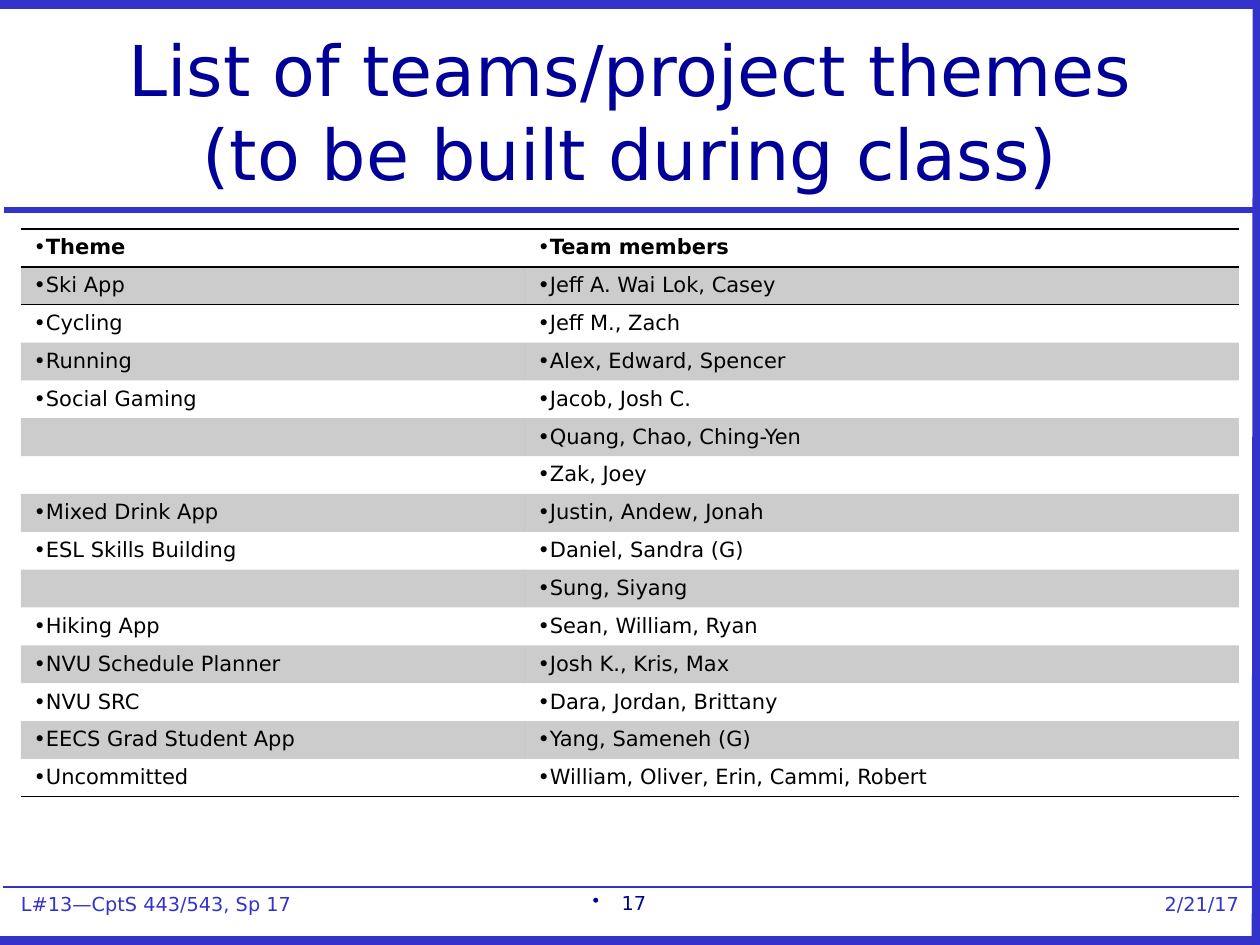
from dataclasses import dataclass

from lxml.etree import SubElement
from pptx import Presentation
from pptx.dml.color import RGBColor
from pptx.enum.shapes import MSO_CONNECTOR, MSO_SHAPE
from pptx.enum.text import MSO_ANCHOR, PP_ALIGN
from pptx.oxml.ns import qn
from pptx.util import Emu, Pt

PX = 914400 // 126
NO_STYLE = "{2D5ABB26-0587-4C30-8999-92F81FD0307C}"


@dataclass(frozen=True)
class Theme:
    font: str = "DejaVu Sans"
    navy: str = "000099"
    blue: str = "3333CC"
    black: str = "000000"
    white: str = "FFFFFF"
    title_size: int = 40
    table_size: int = 12
    footer_size: int = 11
    band_alpha: int = 20


THEME = Theme()

TEAMS = [
    ("Theme", "Team members"),
    ("Ski App", "Jeff A. Wai Lok, Casey"),
    ("Cycling", "Jeff M., Zach"),
    ("Running", "Alex, Edward, Spencer"),
    ("Social Gaming", "Jacob, Josh C."),
    ("", "Quang, Chao, Ching-Yen"),
    ("", "Zak, Joey"),
    ("Mixed Drink App", "Justin, Andew, Jonah"),
    ("ESL Skills Building", "Daniel, Sandra (G)"),
    ("", "Sung, Siyang"),
    ("Hiking App", "Sean, William, Ryan"),
    ("NVU Schedule Planner", "Josh K., Kris, Max"),
    ("NVU SRC", "Dara, Jordan, Brittany"),
    ("EECS Grad Student App", "Yang, Sameneh (G)"),
    ("Uncommitted", "William, Oliver, Erin, Cammi, Robert"),
]


def px(*values):
    return [Emu(value * PX) for value in values]


def write(frame, text, size, color, bold=False, align=PP_ALIGN.LEFT,
          anchor=MSO_ANCHOR.TOP, inset=None, bullet=None, bullet_font=None):
    """Write text; bullet is a (margin, indent) pair in px."""
    frame.word_wrap = True
    frame.vertical_anchor = anchor
    if inset is not None:
        frame.margin_left, frame.margin_top, frame.margin_right, frame.margin_bottom = px(*[inset] * 4)
    paragraph = frame.paragraphs[0]
    paragraph.alignment = align
    for number, line in enumerate(text.split("\n")):
        if number:
            paragraph.add_line_break()
        run = paragraph.add_run()
        run.text = line
        run.font.name = THEME.font
        run.font.size = Pt(size)
        run.font.bold = bold
        run.font.color.rgb = RGBColor.from_string(color)
    if bullet:
        properties = paragraph._p.get_or_add_pPr()
        margin, indent = px(*bullet)
        properties.set("marL", str(margin))
        properties.set("indent", str(indent))
        before = SubElement(properties, qn("a:spcBef"))
        SubElement(before, qn("a:spcPct"), val="20000")
        if bullet_font:
            SubElement(properties, qn("a:buFont"), typeface=bullet_font)
        SubElement(properties, qn("a:buChar"), char="•")


def add_rule(slide, start, end, width):
    line = slide.shapes.add_connector(MSO_CONNECTOR.STRAIGHT, *px(*start, *end))
    line.line.color.rgb = RGBColor.from_string(THEME.blue)
    line.line.width = Pt(width)
    SubElement(line._element.spPr, qn("a:effectLst"))


def add_frame(slide, left, top, width, height):
    """Heavy rules along the top, bottom and right edges."""
    right, bottom = left + width, top + height
    add_rule(slide, (left, top), (right, top), 6)
    add_rule(slide, (left, bottom), (right, bottom), 6)
    add_rule(slide, (right - 1, bottom + 5), (right, top - 4), 6)


def add_title(slide, left, top, width, height):
    add_rule(slide, (left - 17, top + height + 10), (left + width + 17, top + height + 10), 3)
    box = slide.shapes.add_textbox(*px(left, top, width, height))
    write(box.text_frame, "List of teams/project themes\n(to be built during class)",
          THEME.title_size, THEME.navy, align=PP_ALIGN.CENTER, anchor=MSO_ANCHOR.MIDDLE)


def add_footer(slide, left, top, width, height):
    right = left + width
    labels = [
        ("L#13—CptS 443/543, Sp 17", left, 315, PP_ALIGN.LEFT),
        ("2/21/17", right - 294, 294, PP_ALIGN.RIGHT),
    ]
    for text, label_left, label_width, align in labels:
        label = slide.shapes.add_shape(
            MSO_SHAPE.RECTANGLE, *px(label_left, top + 5, label_width, height - 5))
        label.shadow.inherit = False
        label.fill.solid()
        label.fill.fore_color.rgb = RGBColor.from_string(THEME.white)
        label.line.fill.background()
        write(label.text_frame, text, THEME.footer_size, THEME.blue, align=align, inset=0)
    add_rule(slide, (left - 18, top), (right + 15, top), 1)
    # Page number
    number = slide.shapes.add_textbox(*px(left + 11, top - 2, width - 21, 21))
    write(number.text_frame, "17", THEME.footer_size, THEME.navy,
          align=PP_ALIGN.CENTER, bullet=(7, -29))


def add_border(cell, side):
    line = SubElement(cell._tc.get_or_add_tcPr(), qn(f"a:ln{side}"), w=str(Pt(1)))
    fill = SubElement(line, qn("a:solidFill"))
    SubElement(fill, qn("a:srgbClr"), val=THEME.black)


def fill_band(cell):
    cell.fill.solid()
    cell.fill.fore_color.rgb = RGBColor.from_string(THEME.black)
    color = cell._tc.tcPr.find(qn("a:solidFill")).find(qn("a:srgbClr"))
    SubElement(color, qn("a:alpha"), val=str(THEME.band_alpha * 1000))


def add_teams_table(slide, left, top, column_widths, row_height):
    count = len(TEAMS)
    table = slide.shapes.add_table(
        count, len(column_widths),
        *px(left, top, sum(column_widths), row_height * count)).table
    table.horz_banding = False
    table.first_row = False
    table._tbl.tblPr.find(qn("a:tableStyleId")).text = NO_STYLE
    for column, width in zip(table.columns, px(*column_widths)):
        column.width = width
    for index, texts in enumerate(TEAMS):
        table.rows[index].height = px(row_height)[0]
        for cell, text in zip(table.rows[index].cells, texts):
            if text:
                write(cell.text_frame, text, THEME.table_size, THEME.black,
                      bold=index == 0, bullet=(0, 0), bullet_font=THEME.font)
            else:
                ending = SubElement(cell.text_frame.paragraphs[0]._p, qn("a:endParaRPr"))
                ending.set("sz", str(THEME.table_size * 100))
            # Rules around the header and below the last row
            if index in (0, 1):
                add_border(cell, "T")
            if index in (0, count - 1):
                add_border(cell, "B")
            if index % 2:
                fill_band(cell)
            else:
                cell.fill.background()


def main():
    presentation = Presentation()
    presentation.slide_width, presentation.slide_height = px(1260, 945)
    slide = presentation.slides.add_slide(presentation.slide_layouts[6])
    add_frame(slide, -1, 4, 1259, 937)
    add_title(slide, 21, 21, 1218, 179)
    add_teams_table(slide, 21, 229, (504, 714), 34)
    add_footer(slide, 21, 887, 1218, 28)
    presentation.save("out.pptx")


if __name__ == "__main__":
    main()
